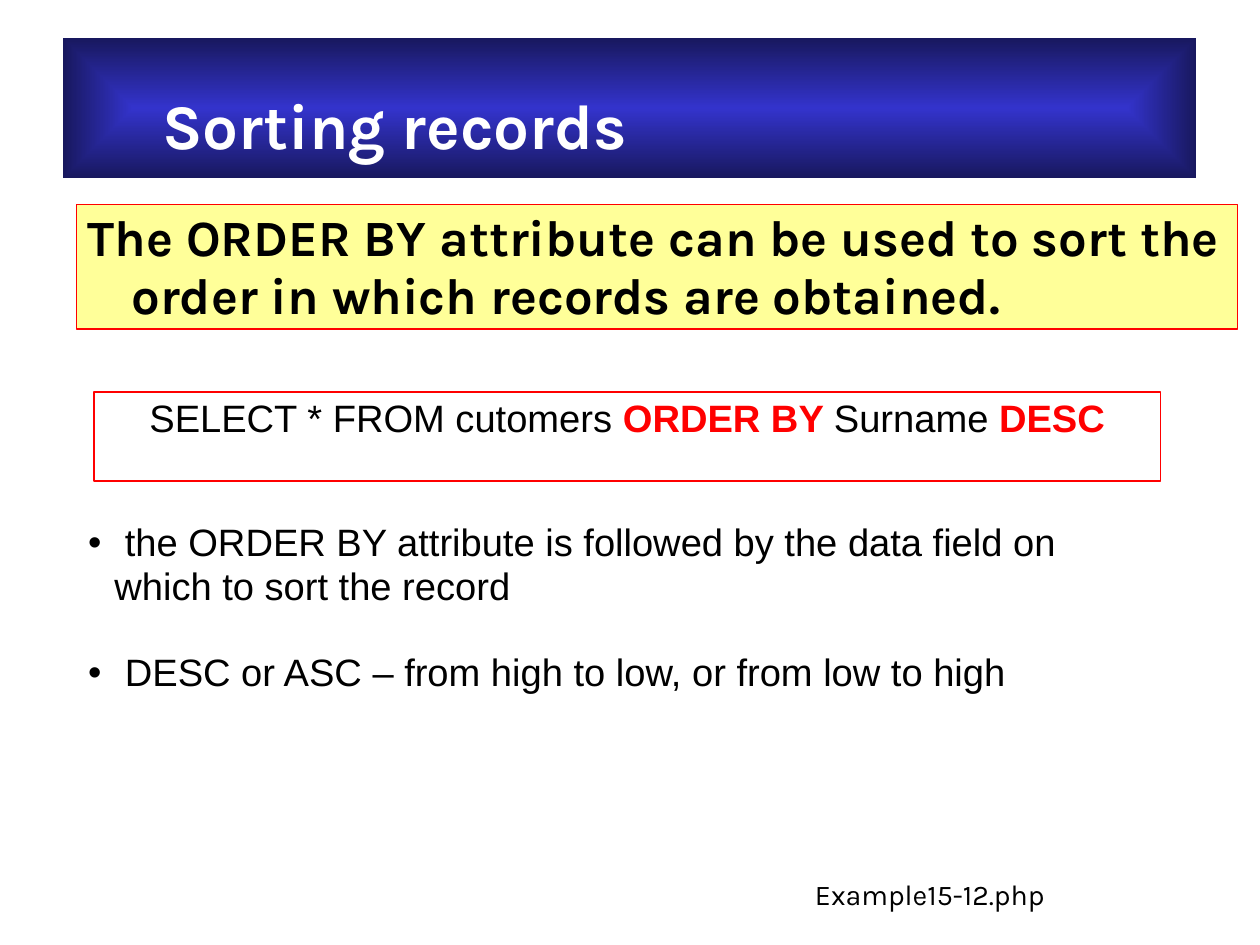
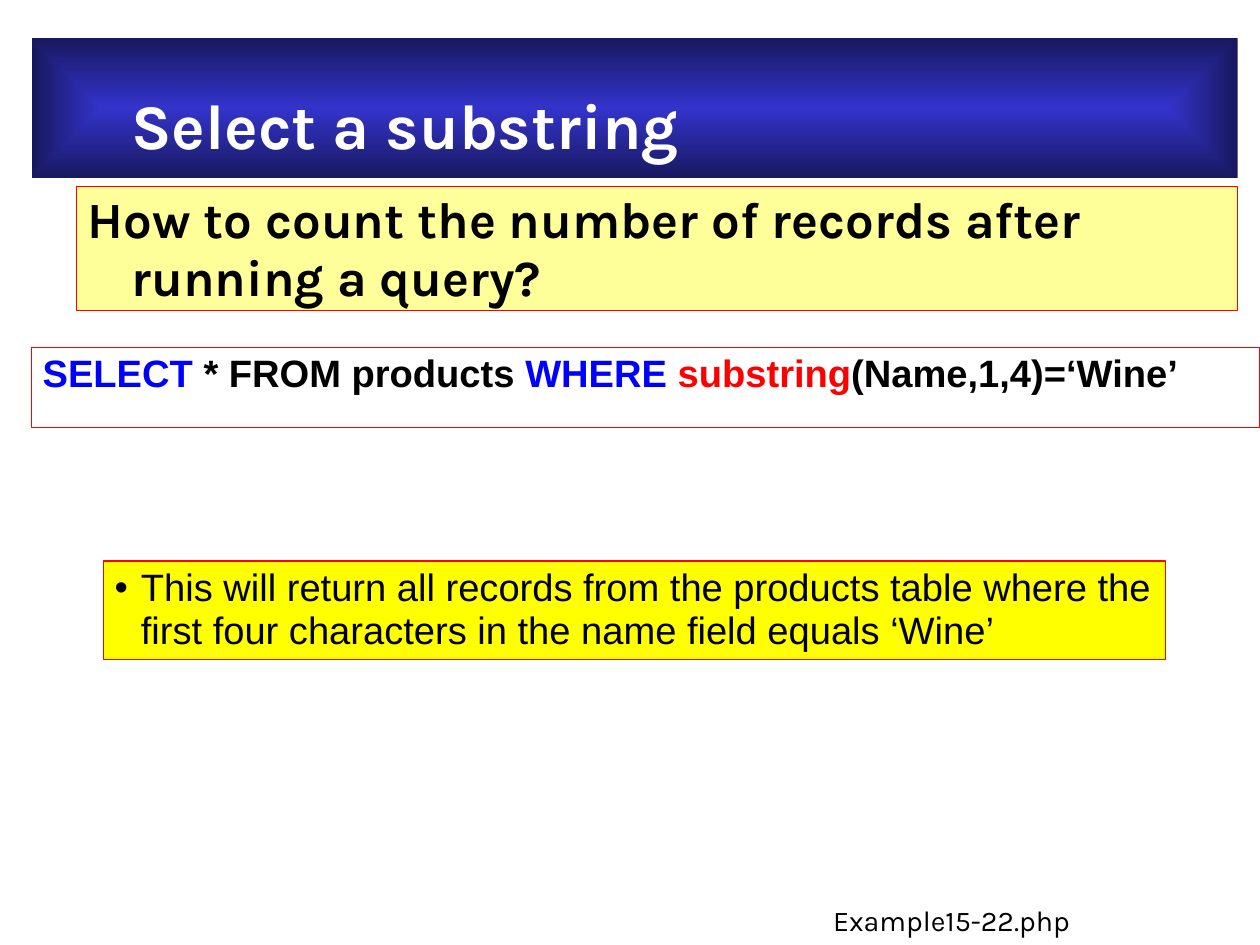
from lxml import etree
from pptx import Presentation
from pptx.dml.color import RGBColor
from pptx.enum.shapes import MSO_SHAPE
from pptx.enum.text import MSO_ANCHOR, MSO_AUTO_SIZE, PP_ALIGN
from pptx.oxml.ns import qn
from pptx.util import Emu, Inches, Pt

RECTANGLE = MSO_SHAPE.RECTANGLE
TOP = MSO_ANCHOR.TOP
NO_FIT = MSO_AUTO_SIZE.NONE
LEFT, CENTER = PP_ALIGN.LEFT, PP_ALIGN.CENTER

# Shared look
WIDTH, HEIGHT = Pt(793.75), Pt(595.25)
HEADING_FONT, TEXT_FONT = "Karla", "Arial"
BLACK, WHITE, RED, BLUE = "000000", "FFFFFF", "FF0000", "0000FF"
PALE_YELLOW, YELLOW = "FFFF99", "FFFF00"
BAND_CENTER, BAND_EDGE = "3333CC", "18185E"
MARGINS = (0.1, 0.05, 0.1, 0.05)
BAND_MARGINS = (0.87, 0.47, 0, 0)
BLOCK_HANG, BULLET_HANG = 0.38, 0.23

# Shared rows and columns, in percent of the slide
BAND_TOP, BAND_HEIGHT = 4, 14.87
LEAD_LEFT, LEAD_WIDTH, LEAD_HEIGHT = 6.08, 92.14, 13.18
FOOTER_WIDTH, FOOTER_HEIGHT = 21.78, 4.72


def color(value):
    return RGBColor.from_string(value)


def area(left, top, width, height):
    """Turn percent of the slide into lengths."""
    return (Emu(int(WIDTH * left / 100)), Emu(int(HEIGHT * top / 100)),
            Emu(int(WIDTH * width / 100)), Emu(int(HEIGHT * height / 100)))


def place(shape, box):
    shape.left, shape.top, shape.width, shape.height = area(*box)


def paint(shape, fill):
    shape.fill.solid()
    shape.fill.fore_color.rgb = color(fill)
    shape.line.color.rgb = color(RED)
    shape.line.width = Pt(0.74)


def set_frame(shape, margins=MARGINS):
    frame = shape.text_frame
    frame.word_wrap = True
    frame.auto_size = NO_FIT
    frame.vertical_anchor = TOP
    (frame.margin_left, frame.margin_top,
     frame.margin_right, frame.margin_bottom) = map(Inches, margins)
    return frame


def write(para, text, size=24, font=TEXT_FONT, ink=BLACK, bold=False,
          align=LEFT, hang=0, after=0):
    """Add one span of text and format its paragraph."""
    para.alignment = align
    para.line_spacing = 0.95
    para.space_before, para.space_after = Pt(0), Pt(after)
    properties = para._p.get_or_add_pPr()
    properties.set("marL", str(Inches(hang)))
    properties.set("indent", str(-Inches(hang)))
    span = para.add_run()
    span.text = text
    span.font.size, span.font.name, span.font.bold = Pt(size), font, bold
    span.font.color.rgb = color(ink)


def add_bullet(para):
    properties = para._p.get_or_add_pPr()
    tint = etree.SubElement(properties, qn("a:buClr"))
    etree.SubElement(tint, qn("a:srgbClr"), val=BLACK)
    etree.SubElement(properties, qn("a:buChar"), char="•")


def title_band(page, text, left, width):
    """Title on a gradient that darkens from the centre outwards."""
    title = page.shapes.title
    place(title, (left, BAND_TOP, width, BAND_HEIGHT))
    gradient = etree.SubElement(title._element.spPr, qn("a:gradFill"), rotWithShape="1")
    stops = etree.SubElement(gradient, qn("a:gsLst"))
    for position, tint in (("0", BAND_CENTER), ("100000", BAND_EDGE)):
        stop = etree.SubElement(stops, qn("a:gs"), pos=position)
        etree.SubElement(stop, qn("a:srgbClr"), val=tint)
    shade = etree.SubElement(gradient, qn("a:path"), {"path": "rect"})
    etree.SubElement(shade, qn("a:fillToRect"), l="50000", t="50000", r="50000", b="50000")
    write(set_frame(title, BAND_MARGINS).paragraphs[0], text,
          size=40, font=HEADING_FONT, ink=WHITE, bold=True)


def framed_block(page, box, spans, fill=WHITE, **style):
    """Red-edged box; each span is its text, colour and weight."""
    block = page.shapes.add_shape(RECTANGLE, *area(*box))
    block.shadow.inherit = False
    paint(block, fill)
    para = set_frame(block).paragraphs[0]
    for text, ink, bold in spans:
        write(para, text, ink=ink, bold=bold, hang=BLOCK_HANG, after=14.3, **style)


def lead_block(page, top, text):
    framed_block(page, (LEAD_LEFT, top, LEAD_WIDTH, LEAD_HEIGHT),
                 [(text, BLACK, True)], fill=PALE_YELLOW, size=32, font=HEADING_FONT)


def bullet_list(page, box, items, fill=None):
    body = page.placeholders[1]
    place(body, box)
    if fill:
        paint(body, fill)
    frame = set_frame(body)
    for index, text in enumerate(items):
        para = frame.add_paragraph() if index else frame.paragraphs[0]
        write(para, text, hang=BULLET_HANG, after=27 if index < len(items) - 1 else 0)
        add_bullet(para)


def file_footer(page, left, top, text):
    footer = page.shapes.add_textbox(*area(left, top, FOOTER_WIDTH, FOOTER_HEIGHT))
    write(set_frame(footer).paragraphs[0], text, size=18, font=HEADING_FONT)


def sorting_page(page):
    title_band(page, "Sorting records", 5, 89.96)
    lead_block(page, 21.64, "The ORDER BY attribute can be used to sort the "
                            "order in which records are obtained.")
    bullet_list(page, (6.08, 54.66, 85.84, 19.59), [
        " the ORDER BY attribute is followed by the data field on which to sort the record",
        " DESC or ASC – from high to low, or from low to high"])
    framed_block(page, (7.46, 41.48, 84.63, 9.43), [
        ("SELECT * FROM cutomers ", BLACK, False), ("ORDER BY ", RED, True),
        ("Surname ", BLACK, False), ("DESC", RED, True)], align=CENTER)
    file_footer(page, 63.79, 92.5, "Example15-12.php")


def substring_page(page):
    title_band(page, "Select a substring", 2.52, 95.7)
    lead_block(page, 19.71, "How to count the number of records after running a query?")
    framed_block(page, (2.5, 36.76, 97.48, 8.46), [
        ("SELECT", BLUE, True), (" * FROM products ", BLACK, True),
        ("WHERE ", BLUE, True), ("substring", RED, True),
        ("(Name,1,4)=‘Wine’", BLACK, True)])
    bullet_list(page, (8.19, 59.37, 84.33, 10.4), [
        "This will return all records from the products table where the "
        "first four characters in the name field equals ‘Wine’"], fill=YELLOW)
    file_footer(page, 65.22, 95.25, "Example15-22.php")


deck = Presentation()
deck.slide_width, deck.slide_height = WIDTH, HEIGHT
for build_page in (sorting_page, substring_page):
    build_page(deck.slides.add_slide(deck.slide_layouts[1]))
deck.save("out.pptx")
